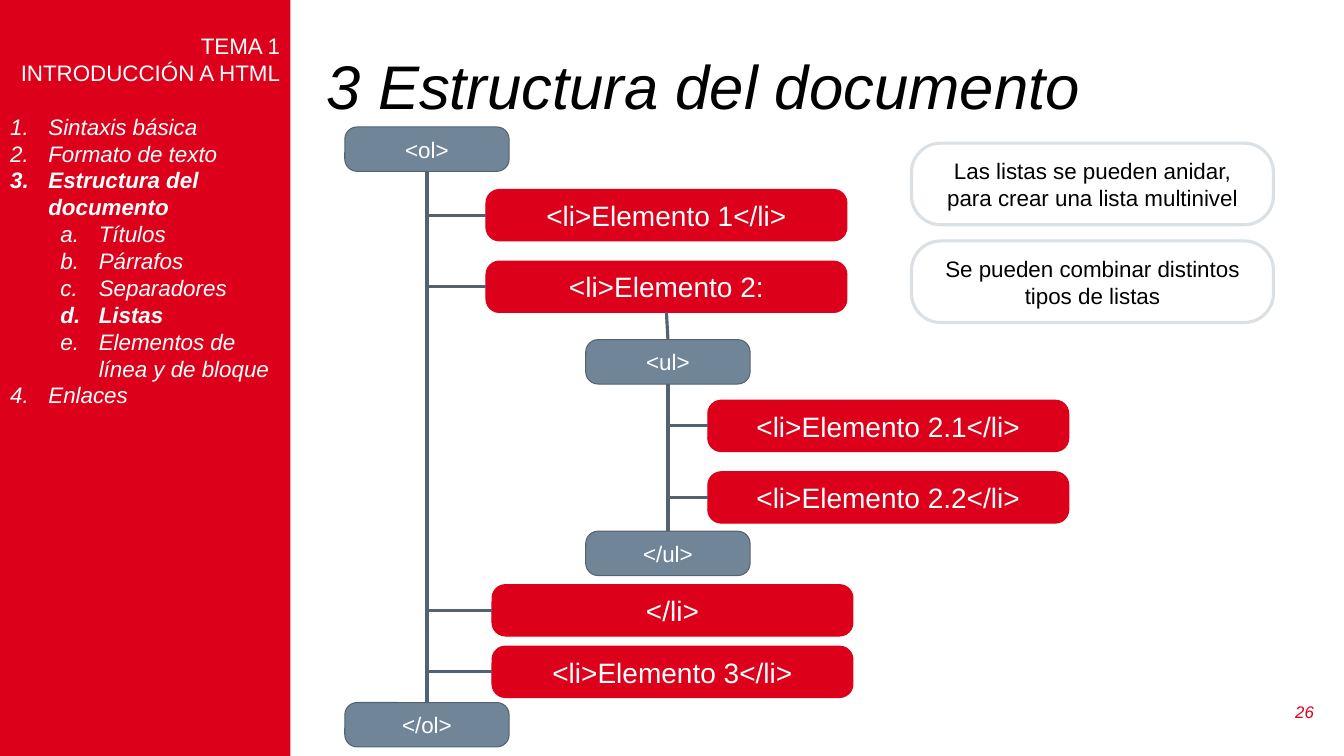
import dataclasses

import pptx
import pptx.dml.color
import pptx.enum.shapes
import pptx.enum.text
import pptx.oxml.ns
import pptx.oxml.xmlchemy
import pptx.util
from lxml import etree


@dataclasses.dataclass(frozen=True)
class Theme:
    font: str = "Arial"
    red: str = "DC001B"
    slate: str = "708698"
    edge: str = "516270"
    pale: str = "DAE0E4"
    white: str = "FFFFFF"
    black: str = "000000"
    title: int = 44
    item: int = 20
    text: int = 16
    page: int = 12
    thin: float = 0.75
    thick: float = 2.25


theme = Theme()
color = pptx.dml.color.RGBColor.from_string
align = pptx.enum.text.PP_ALIGN
anchor = pptx.enum.text.MSO_ANCHOR
kind = pptx.enum.shapes.MSO_CONNECTOR
qn = pptx.oxml.ns.qn
CELL = pptx.util.Inches(0.1)  # the slide is a grid of 133.3 by 75 cells

deck = pptx.Presentation()
deck.slide_width = int(133.3 * CELL)
deck.slide_height = 75 * CELL
slide = deck.slides.add_slide(deck.slide_layouts[1])
title, side = slide.shapes.title, slide.placeholders[1]


def style(shape, place, size, ink, side=align.CENTER, slant=False):
    """Put a shape on the grid (left, top, width, height) and format its text."""
    shape.left, shape.top, shape.width, shape.height = (int(n * CELL) for n in place)
    frame = shape.text_frame
    frame.word_wrap = True
    frame.auto_size = pptx.enum.text.MSO_AUTO_SIZE.NONE
    frame.vertical_anchor = anchor.MIDDLE
    for para in frame.paragraphs:
        para.alignment = side
        for run in para.runs:
            run.font.name = theme.font
            run.font.size = pptx.util.Pt(size)
            run.font.italic = slant
            run.font.color.rgb = color(ink)


def add_box(text, place, curve, fill, line, weight, size, ink):
    box = slide.shapes.add_shape(
        pptx.enum.shapes.MSO_SHAPE.ROUNDED_RECTANGLE, 0, 0, CELL, CELL)
    box.shadow.inherit = False
    box.adjustments[0] = curve
    if fill:
        box.fill.solid()
        box.fill.fore_color.rgb = color(fill)
    else:
        box.fill.background()
    box.line.color.rgb = color(line)
    box.line.width = pptx.util.Pt(weight)
    box.text_frame.text = text
    style(box, place, size, ink)
    return box


# Title and page number
title.text_frame.text = "3 Estructura del documento"
style(title, (31.4, 5, 99.9, 7.8), theme.title, theme.black, align.LEFT, True)
title.text_frame.paragraphs[0].line_spacing = 0.9

page = slide.shapes.add_textbox(0, 0, CELL, CELL)
page.text_frame.text = "26"
style(page, (126.2, 68.6, 5.1, 4), theme.page, theme.red, align.RIGHT, True)

# Side panel: heading, then a list of (text, level, bold)
heads = ["TEMA 1", "INTRODUCCIÓN A HTML"]
topics = [
    ("Sintaxis básica", 0, False),
    ("Formato de texto", 0, False),
    ("Estructura del documento", 0, True),
    ("Títulos", 1, False),
    ("Párrafos", 1, False),
    ("Separadores", 1, False),
    ("Listas", 1, True),
    ("Elementos de línea y de bloque", 1, False),
    ("Enlaces", 0, False),
]
side.fill.solid()
side.fill.fore_color.rgb = color(theme.red)
side.text_frame.text = "\n".join(heads + [text for text, level, bold in topics])
style(side, (0, 0, 28.8, 75), theme.text, theme.white, align.LEFT)
side.text_frame.vertical_anchor = anchor.TOP
side.text_frame.margin_top = int(3.2 * CELL)
paras = side.text_frame.paragraphs
for para in paras:
    para.line_spacing = 1.0
    para.space_before = para.space_after = pptx.util.Pt(0)
for para in paras[:len(heads)]:
    para.alignment = align.RIGHT
    props = para._p.get_or_add_pPr()
    props.set("marL", "0")
    props.set("indent", "0")
    etree.SubElement(props, qn("a:buNone"))
for para, (text, level, bold) in zip(paras[len(heads):], topics):
    para.level = level
    para.runs[0].font.italic = True
    para.runs[0].font.bold = bold
    props = para._p.get_or_add_pPr()
    props.set("marL", str(int((3.8 + 5 * level) * CELL)))
    props.set("indent", str(int(-3.8 * CELL)))
    mark = etree.SubElement(props, qn("a:buAutoNum"))
    mark.set("type", ("arabicPeriod", "alphaLcPeriod")[level])
paras[len(heads)].space_before = pptx.util.Pt(theme.text * 1.2)

# Notes on the right
notes = ["Las listas se pueden anidar, para crear una lista multinivel",
         "Se pueden combinar distintos tipos de listas"]
for row, text in enumerate(notes):
    add_box(text, (90.4, 14.2 + 9.7 * row, 35.9, 8.1), 0.357,
            None, theme.pale, theme.thick, theme.text, theme.black)

# Two nested lists: opening tag, closing tag, items as (text, left, top)
lists = [
    ("<ol>", "</ol>", 34.2, 12.6, 69.7, [
        ("<li>Elemento 1</li>", 48.2, 18.8),
        ("<li>Elemento 2:", 48.2, 25.9),
        ("</li>", 48.8, 58),
        ("<li>Elemento 3</li>", 48.8, 64.1)]),
    ("<ul>", "</ul>", 58.1, 33.7, 52.7, [
        ("<li>Elemento 2.1</li>", 70.2, 39.7),
        ("<li>Elemento 2.2</li>", 70.2, 46.8)]),
]
boxes, joins, bends = {}, [("<li>Elemento 2:", "<ul>")], []
for start, end, left, top, last, items in lists:
    for tag, y in ((start, top), (end, last)):
        boxes[tag] = add_box(tag, (left, y, 16.3, 4.4), 0.277, theme.slate,
                             theme.edge, theme.thin, theme.text, theme.white)
    joins.append((start, end))
    for text, x, y in items:
        boxes[text] = add_box(text, (x, y, 35.8, 5.1), 0.261, theme.red,
                              theme.red, theme.thin, theme.item, theme.white)
        bends.append((start, text))

# Trunks join tags top to bottom; bends lead from an item to its opening tag
lines = []
for start, end in joins:
    line = slide.shapes.add_connector(kind.STRAIGHT, 0, 0, 0, 0)
    line.begin_connect(boxes[start], 2)
    line.end_connect(boxes[end], 0)
    lines.append(line)
for start, text in bends:
    tag, item = boxes[start], boxes[text]
    line = slide.shapes.add_connector(
        kind.ELBOW, tag.left + tag.width // 2, tag.top + tag.height,
        item.left, item.top + item.height // 2)
    props = line._element.spPr
    props.find(qn("a:prstGeom")).set("prst", "bentConnector2")
    props.find(qn("a:xfrm")).set("rot", "10800000")
    lines.append(line)
for line in lines:
    line.line.color.rgb = color(theme.edge)
    line.line.width = pptx.util.Pt(theme.thick)
    etree.SubElement(line._element.spPr, qn("a:effectLst"))

deck.save("out.pptx")
